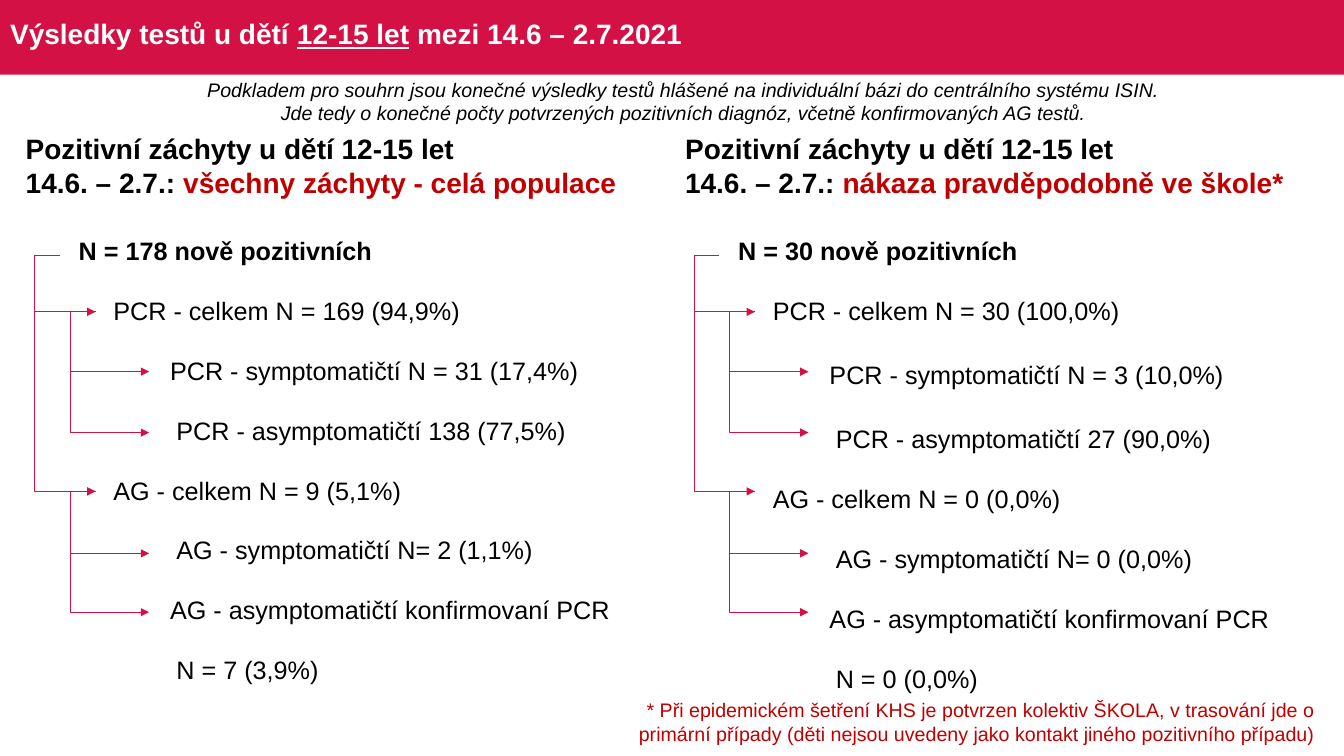
from dataclasses import dataclass

from lxml import etree
from pptx import Presentation
from pptx.dml.color import RGBColor
from pptx.enum.shapes import MSO_CONNECTOR, MSO_SHAPE
from pptx.enum.text import MSO_ANCHOR, MSO_AUTO_SIZE, PP_ALIGN
from pptx.oxml.ns import qn
from pptx.util import Emu, Pt

RECTANGLE = MSO_SHAPE.RECTANGLE
ELBOW = MSO_CONNECTOR.ELBOW
MIDDLE = MSO_ANCHOR.MIDDLE
NO_FIT = MSO_AUTO_SIZE.NONE
LEFT, CENTER, RIGHT = PP_ALIGN.LEFT, PP_ALIGN.CENTER, PP_ALIGN.RIGHT


@dataclass(frozen=True)
class Theme:
    """Colours, font and type sizes of the slide."""

    font: str = "Arial"
    crimson: RGBColor = RGBColor(0xD3, 0x11, 0x45)
    red: RGBColor = RGBColor(0xC0, 0x00, 0x00)
    black: RGBColor = RGBColor(0x00, 0x00, 0x00)
    white: RGBColor = RGBColor(0xFF, 0xFF, 0xFF)
    heading: int = 20
    body: int = 18
    note: int = 14
    line: float = 0.5


THEME = Theme()
EMU_PER_PX = 9525
PANEL_STEP = 628
ROW_HEIGHT = 57
BEND = 24
ROOT_X, BRANCH_X, LEAF_X = 57, 91, 142
ROOT_Y, PCR_Y, AG_Y = 243, 297, 468
INDENTS = (0, 33, 87, 93, 33, 93, 87, 93)
ARROWS = (
    (ROOT_X, ROOT_Y, BRANCH_X, AG_Y),
    (BRANCH_X, PCR_Y, LEAF_X, 354),
    (BRANCH_X, PCR_Y, LEAF_X, 412),
    (BRANCH_X, AG_Y, LEAF_X, 527),
    (BRANCH_X, AG_Y, LEAF_X, 583),
    (ROOT_X, ROOT_Y, BRANCH_X, PCR_Y),
)
PANELS = (
    (
        "všechny záchyty - celá populace",
        (
            "N = 178 nově pozitivních",
            "PCR - celkem N = 169 (94,9%)",
            "PCR - symptomatičtí N = 31 (17,4%)",
            "PCR - asymptomatičtí 138 (77,5%)",
            "AG - celkem N = 9 (5,1%)",
            "AG - symptomatičtí N= 2 (1,1%)",
            "AG - asymptomatičtí konfirmovaní PCR",
            "N = 7 (3,9%)",
        ),
        {},
    ),
    (
        "nákaza pravděpodobně ve škole*",
        (
            "N = 30 nově pozitivních",
            "PCR - celkem N = 30 (100,0%)",
            "PCR - symptomatičtí N = 3 (10,0%)",
            "PCR - asymptomatičtí 27 (90,0%)",
            "AG - celkem N = 0 (0,0%)",
            "AG - symptomatičtí N= 0 (0,0%)",
            "AG - asymptomatičtí konfirmovaní PCR",
            "N = 0 (0,0%)",
        ),
        {2: 65},
    ),
)


def px(*lengths):
    """Turn pixel lengths into EMU."""
    return [Emu(length * EMU_PER_PX) for length in lengths]


def style(para, size, color, bold=False, italic=False, align=LEFT):
    """Set the font and alignment of a paragraph."""
    para.alignment = align
    font = para.font
    font.name, font.size = THEME.font, Pt(size)
    font.bold, font.italic = bold, italic
    font.color.rgb = color


def add_span(para, text):
    """Append a run and return it."""
    span = para.add_run()
    span.text = text
    return span


def add_text(slide, place, lines, size, color, **look):
    """Add a wrapping text box and return its paragraphs."""
    frame = slide.shapes.add_textbox(*px(*place)).text_frame
    frame.word_wrap = True
    frame.text = "\n".join(lines)
    for para in frame.paragraphs:
        style(para, size, color, **look)
    return frame.paragraphs


def add_title(slide):
    """Draw the title bar and fill the title placeholder."""
    title = slide.shapes.title
    bar = slide.shapes.add_shape(RECTANGLE, *px(0, 0, 1280, 71))
    bar.shadow.inherit = False
    bar.fill.solid()
    bar.fill.fore_color.rgb = THEME.crimson
    bar.line.fill.background()
    title.element.addprevious(bar.element)
    title.left, title.top, title.width, title.height = px(0, 4, 1262, 60)
    frame = title.text_frame
    frame.auto_size, frame.vertical_anchor = NO_FIT, MIDDLE
    para = frame.paragraphs[0]
    para.line_spacing = 0.9
    style(para, THEME.heading, THEME.white, bold=True)
    add_span(para, "Výsledky testů u dětí ")
    add_span(para, "12-15 let").font.underline = True
    add_span(para, " mezi 14.6 – 2.7.2021")


def add_counts(slide, left, rows, heights):
    """Add the one-column table of counts."""
    place = px(left, 211, 577, ROW_HEIGHT * len(rows))
    table = slide.shapes.add_table(len(rows), 1, *place).table
    table.first_row = table.horz_banding = False
    for index, (text, indent) in enumerate(zip(rows, INDENTS)):
        table.rows[index].height = px(heights.get(index, ROW_HEIGHT))[0]
        cell = table.cell(index, 0)
        cell.fill.background()
        cell.vertical_anchor = MIDDLE
        cell.margin_left, cell.margin_right, cell.margin_top, cell.margin_bottom = px(
            indent + 1, 1, 1, 0
        )
        cell.text = text
        para = cell.text_frame.paragraphs[0]
        style(para, THEME.body, THEME.black, bold=index == 0)


def add_arrow(slide, start_x, start_y, end_x, end_y):
    """Add an elbow arrow that bends to the left of its start."""
    arrow = slide.shapes.add_connector(ELBOW, *px(start_x, start_y, end_x, end_y))
    arrow.line.color.rgb = THEME.crimson
    arrow.line.width = Pt(THEME.line)
    properties = arrow.element.spPr
    adjustments = properties.find(qn("a:prstGeom")).get_or_add_avLst()
    bend = round(-100000 * BEND / (end_x - start_x))
    etree.SubElement(adjustments, qn("a:gd"), name="adj1", fmla=f"val {bend}")
    etree.SubElement(properties.find(qn("a:ln")), qn("a:tailEnd"), type="triangle")
    etree.SubElement(properties, qn("a:effectLst"))


def add_panel(slide, shift, subject, rows, heights):
    """Add one panel: heading, counts and tree of arrows."""
    add_counts(slide, 74 + shift, rows, heights)
    lines = ("Pozitivní záchyty u dětí 12-15 let", "14.6. – 2.7.: ")
    place = (15 + shift, 121, 609, 74)
    paras = add_text(slide, place, lines, THEME.heading, THEME.black, bold=True)
    add_span(paras[1], subject).font.color.rgb = THEME.red
    for start_x, start_y, end_x, end_y in ARROWS:
        add_arrow(slide, start_x + shift, start_y, end_x + shift, end_y)


def main():
    """Build the slide and save the deck."""
    deck = Presentation()
    deck.slide_width, deck.slide_height = px(1280, 720)
    slide = deck.slides.add_slide(deck.slide_layouts[5])
    add_title(slide)
    source = (
        "Podkladem pro souhrn jsou konečné výsledky testů hlášené na individuální bázi do centrálního systému ISIN.",
        "Jde tedy o konečné počty potvrzených pozitivních diagnóz, včetně konfirmovaných AG testů.",
    )
    place = (172, 69, 958, 55)
    add_text(slide, place, source, THEME.note, THEME.black, italic=True, align=CENTER)
    for index, panel in enumerate(PANELS):
        add_panel(slide, index * PANEL_STEP, *panel)
    footnote = (
        "* Při epidemickém šetření KHS je potvrzen kolektiv ŠKOLA, v trasování jde o primární případy "
        "(děti nejsou uvedeny jako kontakt jiného pozitivního případu)",
    )
    place = (595, 660, 667, 55)
    add_text(slide, place, footnote, THEME.note, THEME.red, align=RIGHT)
    deck.save("out.pptx")


if __name__ == "__main__":
    main()
